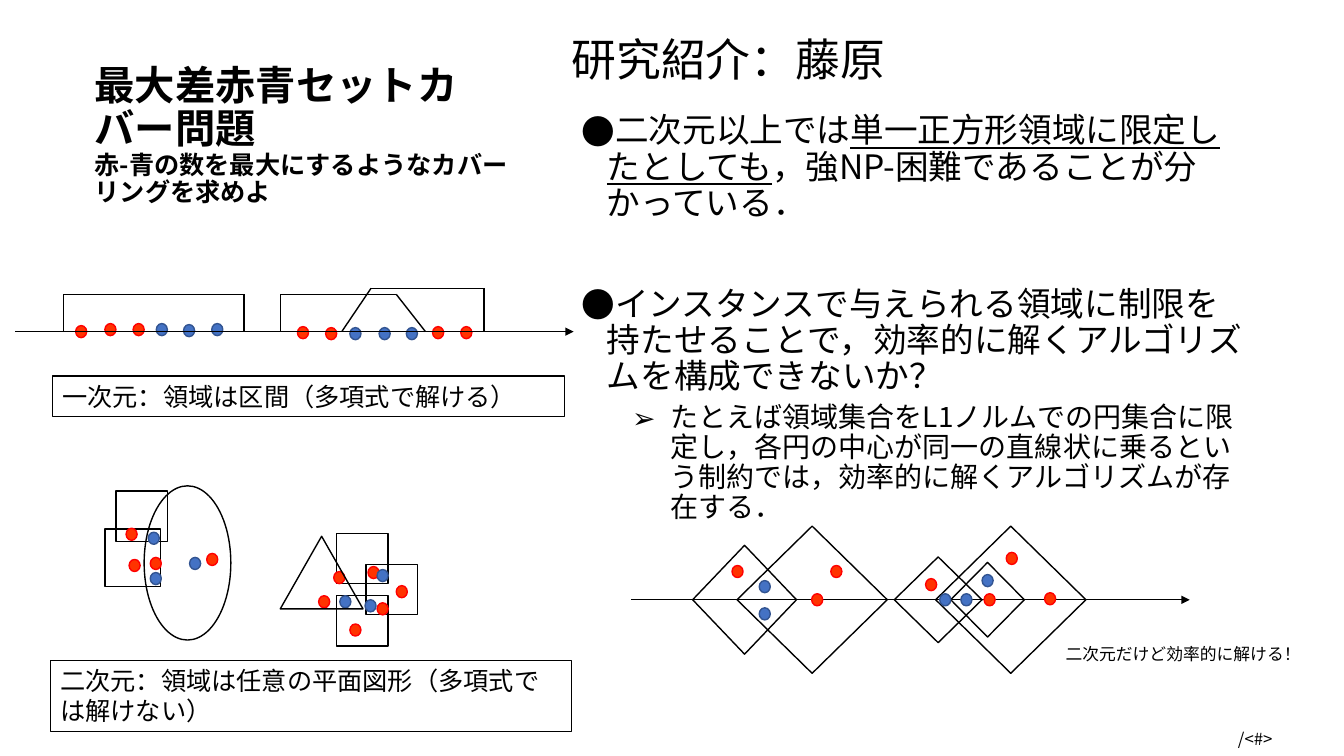
from lxml import etree
from pptx import Presentation
from pptx.dml.color import RGBColor
from pptx.enum.shapes import MSO_CONNECTOR, MSO_SHAPE
from pptx.enum.text import MSO_ANCHOR as Anchor, PP_ALIGN as Align
from pptx.oxml.ns import qn
from pptx.util import Cm, Pt

# Content: places and sizes in inches
FONT = "Noto Sans CJK JP"
COLORS = {"ink": "000000", "paper": "FFFFFF", "red": "FF3300",
          "red edge": "FF0000", "blue": "4472C4", "blue edge": "325491"}
DOT_SIZE = (0.11, 0.12)

HEADING = [("最大差赤青セットカバー問題", 28.8),
           ("赤-青の数を最大にするようなカバーリングを求めよ", 18)]
# Each body point: runs as (text, underlined), size, bullet, indents, space before
BODY = [
    ([("二次元以上では", False),
      ("単一正方形領域に限定したとしても", True),
      ("，強NP-困難であることが分かっている．", False)], 24, "●", (0.25, -0.25), 10),
    ([("インスタンスで与えられる領域に制限を持たせることで，"
       "効率的に解くアルゴリズムを構成できないか？", False)], 24, "●", (0.25, -0.25), 46),
    ([("たとえば領域集合をL1ノルムでの円集合に限定し，各円の中心が同一の"
       "直線状に乗るという制約では，効率的に解くアルゴリズムが存在する．", False)],
     20, "➢", (0.88, -0.38), 5),
]
LABELS = [("/<#>", (12.18, 7.18, 0.75, 0.3), 12),
          ("研究紹介：藤原", (5.57, 0.09, 5.08, 0.81), 32)]
CAPTIONS = [("一次元：領域は区間（多項式で解ける）", (0.52, 3.73, 5.08, 0.4)),
            ("二次元：領域は任意の平面図形（多項式では解けない）", (0.5, 6.55, 5.17, 0.71))]
DIAMOND_NOTE = ("二次元だけど効率的に解ける！", (10.47, 6.34, 2.81, 0.3), 12)

# Plane figures
SQUARES = [(1.15, 4.87, 0.51, 0.5), (1.04, 5.25, 0.55, 0.57)] + [
    (left, 5.29 + 0.31 * step, 0.51, 0.5) for step, left in enumerate((3.34, 3.63, 3.34))]
PLANE_DOTS = {
    "red": [(1.28, 5.55), (2.05, 5.49), (1.49, 5.53), (3.31, 5.67), (3.47, 6.19),
            (3.93, 5.81), (3.16, 5.91), (3.65, 5.62), (3.74, 5.98), (1.25, 5.24)],
    "blue": [(1.47, 5.28), (1.88, 5.53), (1.49, 5.68), (3.37, 5.91), (3.62, 5.95),
             (3.74, 5.65)],
}
OVAL, TRIANGLE = (1.43, 4.82, 0.86, 1.53), (2.78, 5.32, 0.82, 0.72)

# Diamonds centred on an axis: left, width, height
DIAMOND_AXIS = (6.26, 11.8, 5.95)
DIAMONDS = [(6.87, 1.03, 1.08), (7.31, 1.49, 1.46), (8.87, 0.87, 0.85),
            (9.43, 0.73, 0.74), (9.28, 1.49, 1.46)]
DIAMOND_DOTS = {
    "blue": [(7.53, 5.76), (7.53, 6.03), (9.32, 5.89), (9.74, 5.7), (9.53, 5.89)],
    "red": [(9.18, 5.74), (8.05, 5.89), (8.24, 5.61), (7.26, 5.61), (9.98, 5.48),
            (9.76, 5.89), (10.36, 5.88)],
}

# Intervals on a line
INTERVAL_AXIS = (0.15, 5.69, 3.29)
INTERVAL_DOTS = {
    "red": [(0.75, 3.23), (1.04, 3.21), (1.32, 3.21), (2.95, 3.24), (3.23, 3.25),
            (4.29, 3.24), (4.57, 3.24)],
    "blue": [(1.55, 3.21), (1.82, 3.22), (2.1, 3.21), (3.47, 3.25), (3.76, 3.25),
             (4.03, 3.25)],
}
# Bracket: left foot, left top, right top, right foot, height of the top
BRACKETS = [(0.63, 0.63, 2.42, 2.42, 2.92), (2.78, 2.78, 3.93, 4.22, 2.92),
            (3.39, 3.68, 4.8, 4.8, 2.86)]


def lengths(values):
    return [Cm(value * 2.54) for value in values]


def color(name):
    return RGBColor.from_string(COLORS[name])


def set_format(target, values):
    for name, value in values.items():
        setattr(target, name, value)


def add_run(paragraph, text, size, **extra):
    run = paragraph.add_run()
    run.text = text
    set_format(run.font, {"name": FONT, "size": Pt(size), **extra})
    run.font.color.rgb = color("ink")
    east_asian = etree.SubElement(run.font._element, qn("a:ea"))
    east_asian.set("typeface", FONT)


def add_text(shapes, box, anchor=Anchor.TOP):
    frame = shapes.add_textbox(*lengths(box)).text_frame
    set_format(frame, {"word_wrap": True, "vertical_anchor": anchor})
    return frame


def add_bullet(paragraph, character, indents):
    properties = paragraph._p.get_or_add_pPr()
    for name, value in zip(("marL", "indent"), lengths(indents)):
        properties.set(name, str(int(value)))
    etree.SubElement(properties, qn("a:buFont")).set("typeface", FONT)
    etree.SubElement(properties, qn("a:buChar")).set("char", character)


def add_figure(shapes, kind, box, fill=None, edge="ink"):
    shape = shapes.add_shape(kind, *lengths(box))
    shape.shadow.inherit = False
    if fill:
        shape.fill.solid()
        shape.fill.fore_color.rgb = color(fill)
    else:
        shape.fill.background()
    shape.line.color.rgb = color(edge)
    shape.line.width = Pt(1)
    return shape


def add_dots(shapes, dots):
    for name, places in dots.items():
        for place in places:
            add_figure(shapes, MSO_SHAPE.OVAL, place + DOT_SIZE, name, f"{name} edge")


def add_line(shapes, start, end, arrow=False):
    line = shapes.add_connector(MSO_CONNECTOR.STRAIGHT, *lengths(start + end))
    line.line.color.rgb = color("ink")
    line.line.width = Pt(1)
    if arrow:
        etree.SubElement(line.line._get_or_add_ln(), qn("a:tailEnd")).set("type", "triangle")
    etree.SubElement(line._element.spPr, qn("a:effectLst"))


def add_axis(shapes, axis):
    left, right, height = axis
    add_line(shapes, (left, height), (right, height), arrow=True)


presentation = Presentation()
presentation.slide_width, presentation.slide_height = lengths((13.33, 7.5))
slide = presentation.slides.add_slide(presentation.slide_layouts[6])
shapes = slide.shapes

# Labels and heading
for text, box, size in LABELS:
    add_run(add_text(shapes, box, Anchor.BOTTOM).paragraphs[0], text, size)
heading = add_text(shapes, (0.84, 0.83, 4.3, 1.27), Anchor.BOTTOM).paragraphs[0]
heading.line_spacing = 0.9
for index, (text, size) in enumerate(HEADING):
    if index:
        heading.add_line_break()
    add_run(heading, text, size, bold=True)

# Body points
body = add_text(shapes, (5.67, 1.08, 6.75, 4.24))
for index, (runs, size, bullet, indents, space) in enumerate(BODY):
    paragraph = body.add_paragraph() if index else body.paragraphs[0]
    set_format(paragraph, {"line_spacing": 0.9, "space_before": Pt(space)})
    add_bullet(paragraph, bullet, indents)
    for text, underlined in runs:
        add_run(paragraph, text, size, underline=underlined)

# Plane figures and captions
plane = shapes.add_group_shape().shapes
for box in SQUARES:
    add_figure(plane, MSO_SHAPE.RECTANGLE, box)
add_dots(plane, PLANE_DOTS)
for text, box in CAPTIONS:
    frame = add_figure(shapes, MSO_SHAPE.RECTANGLE, box, "paper").text_frame
    set_format(frame, {"word_wrap": True, "vertical_anchor": Anchor.TOP})
    frame.paragraphs[0].alignment = Align.LEFT
    add_run(frame.paragraphs[0], text, 18)
add_figure(shapes, MSO_SHAPE.OVAL, OVAL)
add_figure(shapes, MSO_SHAPE.ISOSCELES_TRIANGLE, TRIANGLE)

# Diamonds
diamonds = shapes.add_group_shape().shapes
add_axis(diamonds, DIAMOND_AXIS)
for left, width, height in DIAMONDS:
    add_figure(diamonds, MSO_SHAPE.DIAMOND,
               (left, DIAMOND_AXIS[2] - height / 2, width, height))
add_dots(diamonds, DIAMOND_DOTS)
note, note_box, note_size = DIAMOND_NOTE
add_run(add_text(diamonds, note_box).paragraphs[0], note, note_size)

# Intervals
intervals = shapes.add_group_shape().shapes
add_dots(intervals, INTERVAL_DOTS)
add_axis(intervals, INTERVAL_AXIS)
for left_foot, left_top, right_top, right_foot, top in BRACKETS:
    base = INTERVAL_AXIS[2]
    corners = [(left_foot, base), (left_top, top), (right_top, top), (right_foot, base)]
    for start, end in zip(corners, corners[1:]):
        add_line(shapes, start, end)

presentation.save("out.pptx")
